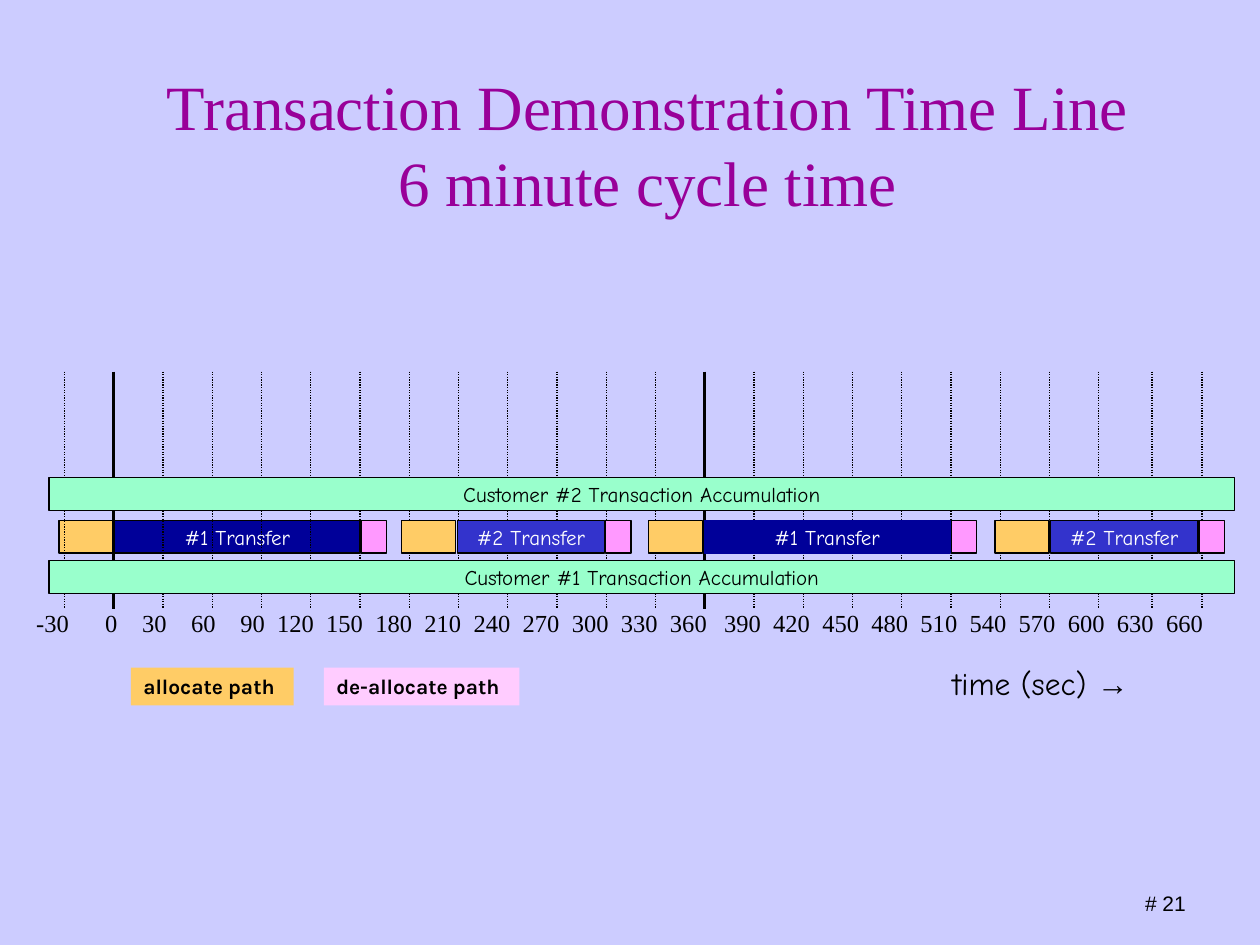
from lxml.etree import SubElement as Sub
from pptx import Presentation
from pptx.dml.color import RGBColor as Rgb
from pptx.enum.dml import MSO_LINE as Dash
from pptx.enum.shapes import MSO_CONNECTOR as Conn, MSO_SHAPE as Form
from pptx.enum.text import MSO_ANCHOR as Anchor, PP_ALIGN as Align
from pptx.oxml.ns import qn
from pptx.util import Cm, Pt

BACK = Rgb(0xCC, 0xCC, 0xFF)
BLACK = Rgb(0x00, 0x00, 0x00)
WHITE = Rgb(0xFF, 0xFF, 0xFF)
PLUM = Rgb(0x99, 0x00, 0x99)
GOLD = Rgb(0xFF, 0xCC, 0x66)
PINK = Rgb(0xFF, 0x99, 0xFF)
PALE = Rgb(0xFF, 0xCC, 0xFF)
MINT = Rgb(0x99, 0xFF, 0xCC)
NAVY = Rgb(0x00, 0x00, 0x99)
BLUE = Rgb(0x33, 0x33, 0xCC)

SERIF, SANS = "Times New Roman", "Arial"
COMIC, KARLA = "Comic Neue", "Karla"


class Board:
    """Holds the slide and its style; all lengths come in as centimetres."""

    def __init__(self, deck):
        self.slide = deck.slides.add_slide(deck.slide_layouts[6])
        fill = self.slide.background.fill
        fill.solid()
        fill.fore_color.rgb = BACK
        self.row, self.high = 10.49, 0.66

    def run(self, para, text, size, face, color=BLACK, bold=False):
        run = para.add_run()
        run.text = text
        font = run.font
        font.size, font.name, font.bold = Pt(size), face, bold
        font.color.rgb = color

    def setup(self, shape, align, anchor):
        frame = shape.text_frame
        frame.word_wrap = True
        frame.vertical_anchor = anchor
        para = frame.paragraphs[0]
        para.alignment = align
        return para

    def text(self, x, y, w, h, align=Align.LEFT, anchor=Anchor.TOP):
        box = self.slide.shapes.add_textbox(Cm(x), Cm(y), Cm(w), Cm(h))
        return self.setup(box, align, anchor)

    def bar(self, x, y, w, h, fill, edge=BLACK, align=Align.CENTER):
        box = self.slide.shapes.add_shape(Form.RECTANGLE, Cm(x), Cm(y), Cm(w), Cm(h))
        box.shadow.inherit = False
        box.fill.solid()
        box.fill.fore_color.rgb = fill
        if edge is None:
            box.line.fill.background()
        else:
            box.line.color.rgb = edge
            box.line.width = Pt(0.75)
        return self.setup(box, align, Anchor.MIDDLE)

    def tick(self, x, solid):
        line = self.slide.shapes.add_connector(Conn.STRAIGHT, Cm(x), Cm(7.49), Cm(x), Cm(12.27))
        line.line.color.rgb = BLACK
        line.line.width = Pt(1.5 if solid else 0.75)
        if not solid:
            line.line.dash_style = Dash.ROUND_DOT
        Sub(line._element.spPr, qn("a:effectLst"))

    def move(self, x, w, name, fill, edge=BLACK):
        """A transfer with its allocate and de-allocate steps."""
        self.bar(x - 1.12, self.row, 1.09, self.high, GOLD)
        self.bar(x + w + 0.02, self.row, 0.51, self.high, PINK)
        para = self.bar(x, self.row, w, self.high, fill, edge)
        self.run(para, name, 12, COMIC, WHITE)

    def store(self, y, name):
        para = self.bar(0.99, y, 23.9, self.high, MINT)
        self.run(para, name, 12, COMIC)

    def key(self, x, w, name, fill):
        para = self.bar(x, 13.46, w, 0.76, fill, None, Align.LEFT)
        self.run(para, name, 12, KARLA, bold=True)

    def scale(self, marks):
        """Axis numbers, each set on a right tab; the gap widens after 360."""
        para = self.text(0.48, 12.14, 24.08, 0.86)
        tabs = Sub(para._p.get_or_add_pPr(), qn("a:tabLst"))
        for i, mark in enumerate(marks[1:]):
            stop = 1.64 + 0.99 * i + (0.1 if mark > 360 else 0)
            Sub(tabs, qn("a:tab"), pos=str(int(Cm(stop))), algn="r")
        self.run(para, "\t".join(str(mark) for mark in marks), 14, SERIF)


def main():
    deck = Presentation()
    deck.slide_width, deck.slide_height = Cm(25.4), Cm(19.05)
    board = Board(deck)

    # Title and page number
    para = board.text(1.63, 1.19, 22.86, 3.35, Align.CENTER, Anchor.BOTTOM)
    para.line_spacing = Pt(43.5)
    board.run(para, "Transaction Demonstration Time Line", 36, SERIF, PLUM)
    para.add_line_break()
    board.run(para, "6 minute cycle time", 36, SERIF, PLUM)
    para = board.text(21.59, 17.83, 3.81, 0.76, Align.CENTER)
    board.run(para, "# 21", 12, SANS)

    # First transfer lies under the time marks
    board.move(2.31, 4.95, "#1 Transfer", NAVY)

    # Time marks, solid where a cycle starts
    marks = list(range(-30, 661, 30))
    spots = [1.3 + 20.85 * i / 21 for i in range(22)] + [23.22, 24.23]
    for mark, x in zip(marks, spots):
        board.tick(x, mark % 360 == 0)
    board.scale(marks)

    # Accumulation bars and the other transfers
    board.store(9.63, "Customer #2 Transaction Accumulation")
    board.store(11.3, "Customer #1 Transaction Accumulation")
    board.move(14.2, 4.95, "#1 Transfer", NAVY, NAVY)
    for x in (9.22, 21.18):
        board.move(x, 2.97, "#2 Transfer", BLUE)

    # Legend and axis name
    board.key(2.64, 3.28, "allocate path", GOLD)
    board.key(6.53, 3.94, "de-allocate path", PALE)
    para = board.text(18.95, 13.26, 4.06, 1.02)
    board.run(para, "time (sec) ", 18, COMIC)
    board.run(para, "→", 18, SANS)

    deck.save("out.pptx")


if __name__ == "__main__":
    main()
